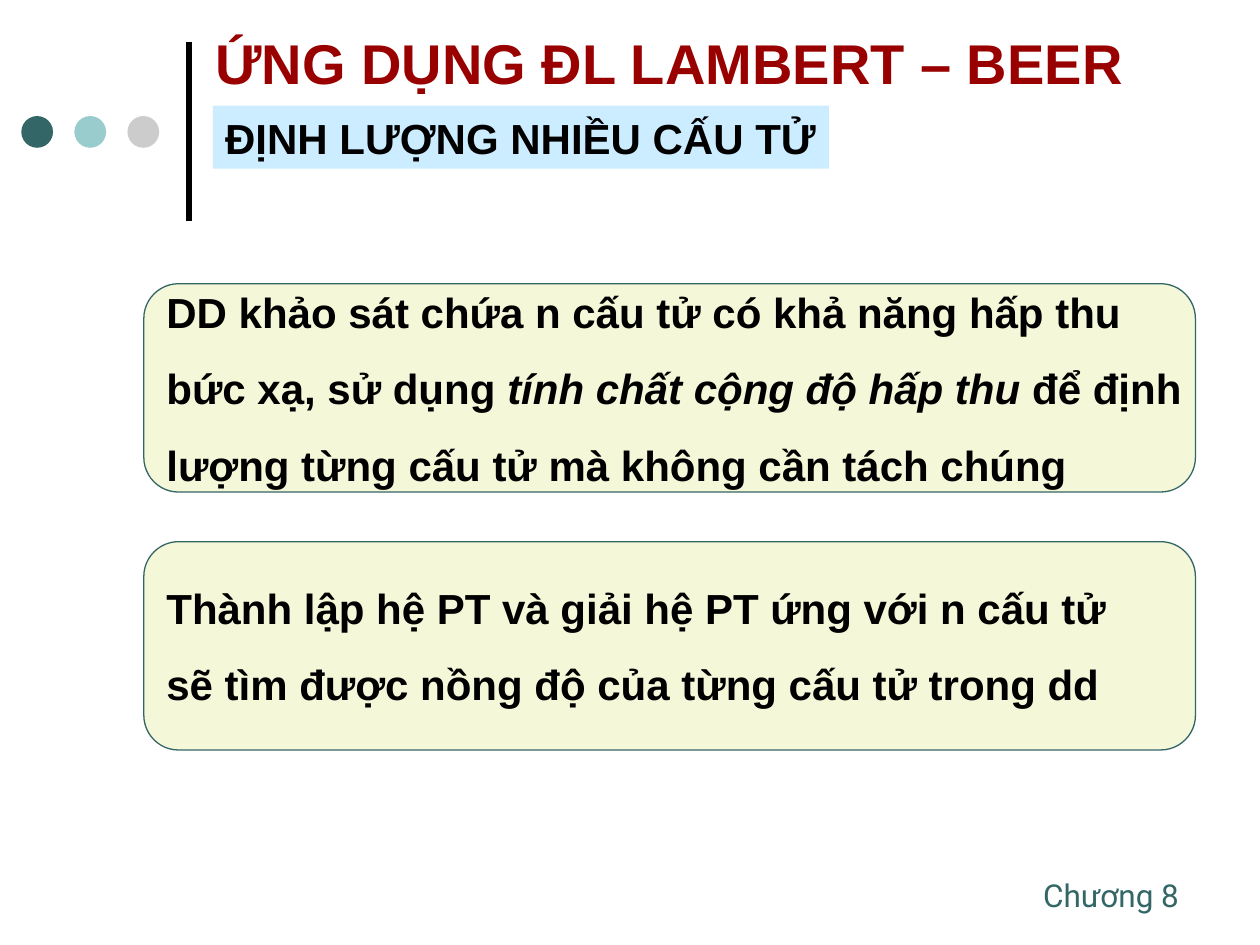
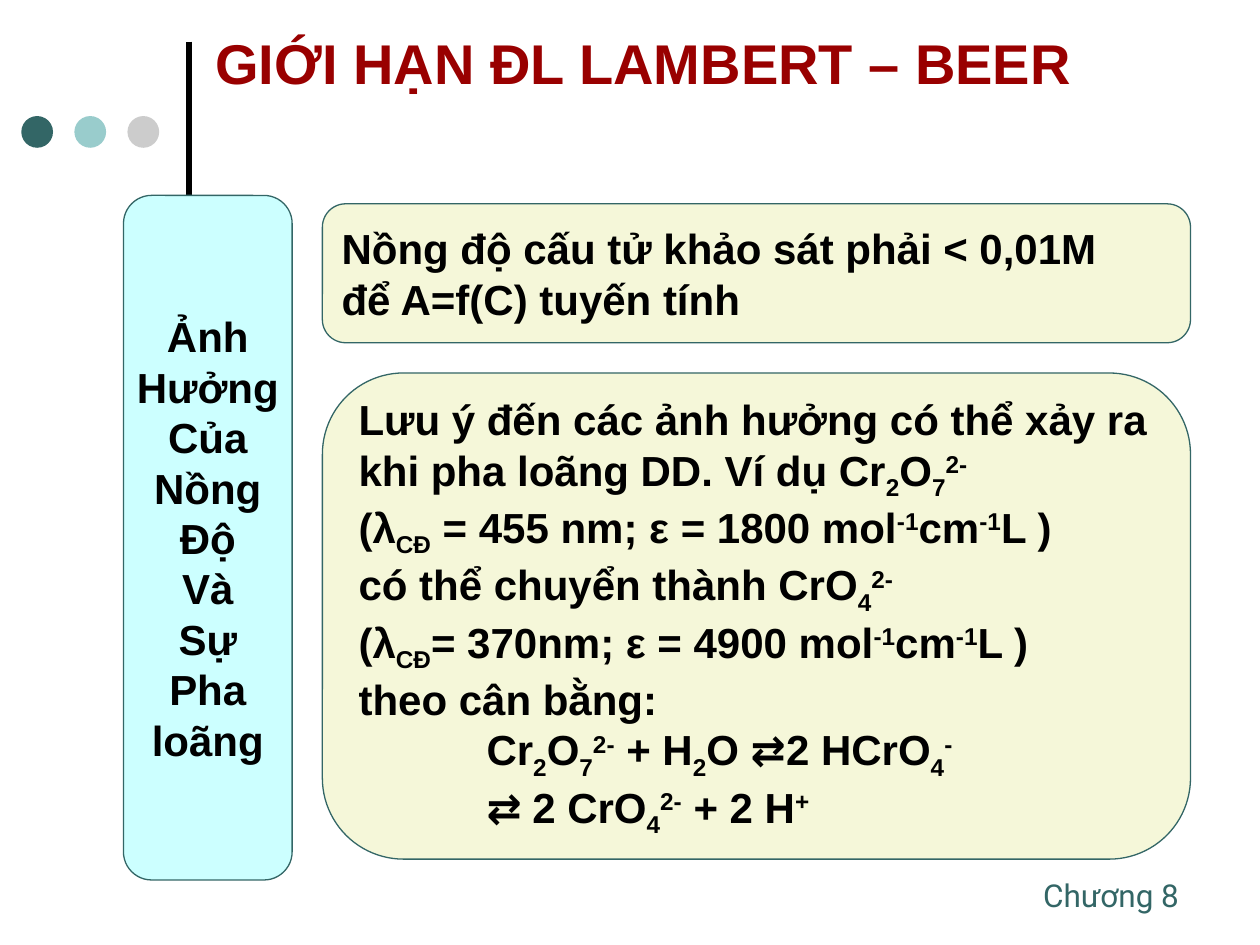
from dataclasses import dataclass

from lxml import etree
from pptx import Presentation
from pptx import util as u
from pptx.dml import color
from pptx.enum import shapes, text
from pptx.oxml import ns


@dataclass(frozen=True)
class Theme:
    body: str = "Arial"
    alt: str = "Roboto"
    ink: str = "000000"
    red: str = "990000"
    teal: str = "336666"
    aqua: str = "99CCCC"
    gray: str = "CCCCCC"
    sky: str = "CCECFF"
    cream: str = "F5F7D9"
    cyan: str = "CCFFFF"
    head: int = 32
    main: int = 24
    foot: int = 18


SHAPE = shapes.MSO_SHAPE
ALIGN = text.PP_ALIGN
MID = text.MSO_ANCHOR.MIDDLE
TOP = text.MSO_ANCHOR.TOP
PAD = u.Cm(0.25)


def put(obj, vals):
    """Set each named attribute of obj."""
    for name, val in vals.items():
        setattr(obj, name, val)


def rgb(code):
    return color.RGBColor.from_string(code)


class Deck:
    def __init__(self, theme):
        self.theme = theme
        self.prs = Presentation()
        put(self.prs, {"slide_width": u.Cm(25.4), "slide_height": u.Cm(19.05)})

    def start(self, title):
        """Add a slide with its title, bar, dots and chapter mark."""
        t = self.theme
        self.slide = self.prs.slides.add_slide(self.prs.slide_layouts[5])
        self.bar(3.81, 0.84, 4.45)
        for i, fill in enumerate((t.teal, t.aqua, t.gray)):
            self.shape(SHAPE.OVAL, (0.43 + 1.07 * i, 2.34, 0.64, 0.64), fill)
        box = self.slide.shapes.add_textbox(*map(u.Cm, (20.78, 17.53, 3.43, 1.02)))
        self.label(box, ["Chương 8"], size=t.foot, font=t.alt, ink=t.teal,
                   bold=False, wrap=False, anchor=TOP)
        head = self.slide.shapes.title
        spots = zip(("left", "top", "width", "height"), (4.09, 0, 19.61, 2.51))
        put(head, {name: u.Cm(val) for name, val in spots})
        self.label(head, [title], size=t.head, ink=t.red)

    def bar(self, x, top, end):
        line = self.slide.shapes.add_connector(
            shapes.MSO_CONNECTOR.STRAIGHT, *map(u.Cm, (x, top, x, end)))
        line.line.color.rgb = rgb(self.theme.ink)
        line.line.width = u.Pt(3)
        etree.SubElement(line._element.spPr, ns.qn("a:effectLst"))

    def shape(self, kind, spot, fill, edge=None):
        item = self.slide.shapes.add_shape(kind, *map(u.Cm, spot))
        item.shadow.inherit = False
        item.fill.solid()
        item.fill.fore_color.rgb = rgb(fill)
        if edge:
            item.line.color.rgb = rgb(edge)
            item.line.width = u.Pt(0.75)
        else:
            item.line.fill.background()
        return item

    def badge(self, spot, line):
        item = self.shape(SHAPE.RECTANGLE, spot, self.theme.sky)
        self.label(item, [line], wrap=False, anchor=TOP)

    def card(self, spot, lines, fill=None, **style):
        item = self.shape(SHAPE.ROUNDED_RECTANGLE, spot,
                          fill or self.theme.cream, self.theme.teal)
        item.adjustments[0] = 0.167
        self.label(item, lines, right=0, **style)

    def label(self, item, lines, size=None, font=None, ink=None, bold=True,
              wrap=True, anchor=MID, align=ALIGN.LEFT, left=PAD, right=PAD,
              gap=0):
        """Fill a shape; a tab at the start of a line indents it."""
        t = self.theme
        frame = item.text_frame
        put(frame, {"word_wrap": wrap, "vertical_anchor": anchor,
                    "auto_size": text.MSO_AUTO_SIZE.NONE,
                    "margin_left": left, "margin_right": right,
                    "margin_top": u.Cm(0.13), "margin_bottom": u.Cm(0.13)})
        base = {"name": font or t.body, "size": u.Pt(size or t.main),
                "bold": bold}
        for i, line in enumerate(lines):
            para = frame.add_paragraph() if i else frame.paragraphs[0]
            put(para, {"alignment": align, "space_before": u.Pt(gap if i else 0)})
            if line.startswith("\t"):
                para._p.get_or_add_pPr().set("marL", str(u.Cm(2.58)))
            for part in line.strip("\t").split("|"):
                self.piece(para, part, base, ink or t.ink)

    def piece(self, para, part, base, ink):
        """Add a run; a first _ ^ / ~ means sub, super, italic, other font."""
        mark = part[0] if part[0] in "_^/~" else ""
        run = para.add_run()
        run.text = part[len(mark):]
        more = {"/": {"italic": True}, "~": {"name": self.theme.alt}}
        put(run.font, base | more.get(mark, {}))
        run.font.color.rgb = rgb(ink)
        shift = {"_": "-25000", "^": "30000"}.get(mark)
        if shift:
            run._r.get_or_add_rPr().set("baseline", shift)


def usage(deck):
    deck.start("ỨNG DỤNG ĐL LAMBERT – BEER")
    deck.badge((4.29, 2.13, 12.42, 1.27), "ĐỊNH LƯỢNG NHIỀU CẤU TỬ")
    cards = (
        ["DD khảo sát chứa n cấu tử có khả năng hấp thu",
         "bức xạ, sử dụng |/tính chất cộng độ hấp thu| để định",
         "lượng từng cấu tử mà không cần tách chúng"],
        ["Thành lập hệ PT và giải hệ PT ứng với n cấu tử",
         "sẽ tìm được nồng độ của từng cấu tử trong dd"],
    )
    for i, lines in enumerate(cards):
        deck.card((2.9, 5.72 + 5.2 * i, 21.2, 4.2), lines, gap=15)


def limit(deck):
    deck.start("GIỚI HẠN ĐL LAMBERT – BEER")
    deck.card((6.5, 4.11, 17.5, 2.8),
              ["Nồng độ cấu tử khảo sát phải < 0,01M",
               "để A=f(C) tuyến tính"])
    deck.card((6.5, 7.52, 17.5, 9.8),
              ["Lưu ý đến các ảnh hưởng có thể xảy ra",
               "khi pha loãng DD. Ví dụ Cr|_2|O|_7|^2-",
               "(λ|_CĐ| = 455 nm; ε = 1800 mol|^-1|cm|^-1|L )",
               "có thể chuyển thành CrO|_4|^2-",
               "(λ|_CĐ|= 370nm; ε = 4900 mol|^-1|cm|^-1|L )",
               "theo cân bằng:",
               "\tCr|_2|O|_7|^2-| + H|_2|O |~⇄|2 HCrO|_4|^-",
               "\t~⇄ |2 CrO|_4|^2-| + 2 H|^+"])
    deck.card((2.49, 3.94, 3.4, 13.8),
              "Ảnh Hưởng Của Nồng Độ Và Sự Pha loãng".split(),
              fill=deck.theme.cyan, align=ALIGN.CENTER, left=0)


def main():
    deck = Deck(Theme())
    usage(deck)
    limit(deck)
    deck.prs.save("out.pptx")


if __name__ == "__main__":
    main()
